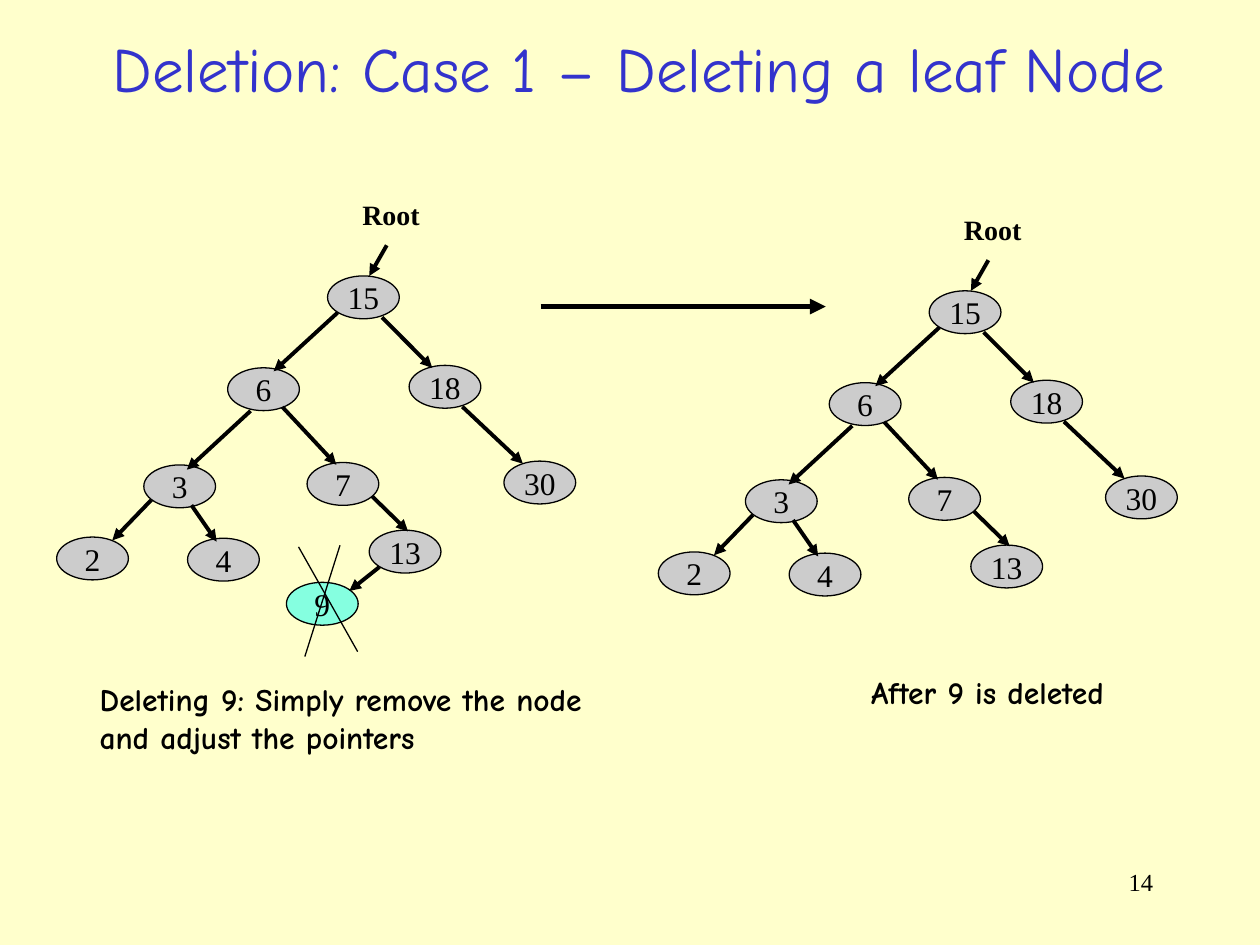
from typing import NamedTuple

import pptx
import pptx.dml.color
import pptx.enum.shapes
import pptx.enum.text
import pptx.oxml
import pptx.oxml.ns
import pptx.util

Pt = pptx.util.Pt
Align = pptx.enum.text.PP_ALIGN
Anchor = pptx.enum.text.MSO_ANCHOR

COMIC = "Comic Neue"
TIMES = "Times New Roman"
BLACK = "000000"
GREY = "CCCCCC"
AQUA = "85FFE0"
NODE_WIDTH, NODE_HEIGHT = 41, 24.5


class Node(NamedTuple):
    label: str
    left: float
    top: float
    fill: str = GREY


class Line(NamedTuple):
    x1: float
    y1: float
    x2: float
    y2: float
    width: float = 2.25
    arrow: bool = True


class Label(NamedTuple):
    text: str
    left: float
    top: float
    width: float
    height: float
    font: str
    size: float
    bold: bool = True
    align: Align = Align.LEFT
    wrap: bool = False


ROOT_LABEL = Label("Root", 200, 109.6, 50, 26.6, TIMES, 16)

TREE_NODES = [
    Node("15", 187.2, 157.7),
    Node("6", 130.1, 210.2),
    Node("18", 233.8, 208.8),
    Node("30", 288, 263.5),
    Node("3", 82.2, 265.7),
    Node("7", 175.5, 264.3),
    Node("2", 32.4, 306.9),
    Node("4", 107.2, 307.6),
    Node("13", 211, 303),
]

TREE_ARROWS = [
    Line(221, 140.2, 211, 157.7),
    Line(193, 178.6, 156.4, 212.2),
    Line(218.3, 181.4, 247, 210.2),
    Line(264.2, 232.4, 298.8, 265),
    Line(143.2, 234.8, 106.8, 268.4),
    Line(161.4, 232.6, 192.2, 265.6),
    Line(86.5, 285.7, 64.2, 308.8),
    Line(109.4, 288.7, 123.8, 309.5),
    Line(212.6, 283.6, 233.2, 303.7),
]

DELETED_NODE = Node("9", 163.7, 332.8, AQUA)

DELETION_LINES = [
    Line(216.8, 324, 199.6, 337.7),
    Line(170.6, 312.5, 204.4, 372.4, 0.75, False),
    Line(194.3, 311.6, 174.2, 375.2, 0.75, False),
]

TRANSITION = Line(309, 175.2, 471.8, 175.2, 3)

CAPTIONS = [
    Label("Deleting 9: Simply remove the node\nand adjust the pointers",
          49.9, 385.2, 297.4, 50.4, COMIC, 18),
    Label("After 9 is deleted", 490.7, 381.1, 148.3, 28.8, COMIC, 18),
    Label("14", 516.2, 491.8, 149.8, 36, TIMES, 14, False, Align.RIGHT, True),
]


def color(value: str) -> pptx.dml.color.RGBColor:
    return pptx.dml.color.RGBColor.from_string(value)


def format_text(frame, font: str, size: float, align: Align,
                bold: bool = False, text_color: str = BLACK) -> None:
    for paragraph in frame.paragraphs:
        paragraph.alignment = align
        for run in paragraph.runs:
            run.font.name = font
            run.font.size = Pt(size)
            run.font.bold = bold
            run.font.color.rgb = color(text_color)


def draw_label(shapes, label: Label, dx: float = 0, dy: float = 0) -> None:
    shape = shapes.add_textbox(Pt(label.left + dx), Pt(label.top + dy),
                               Pt(label.width), Pt(label.height))
    shape.text_frame.text = label.text
    shape.text_frame.word_wrap = label.wrap
    format_text(shape.text_frame, label.font, label.size, label.align, label.bold)


def draw_node(shapes, node: Node, dx: float = 0, dy: float = 0) -> None:
    shape = shapes.add_shape(pptx.enum.shapes.MSO_SHAPE.OVAL,
                             Pt(node.left + dx), Pt(node.top + dy),
                             Pt(NODE_WIDTH), Pt(NODE_HEIGHT))
    shape.shadow.inherit = False
    shape.fill.solid()
    shape.fill.fore_color.rgb = color(node.fill)
    shape.line.color.rgb = color(BLACK)
    shape.line.width = Pt(0.75)
    shape.text_frame.text = node.label
    shape.text_frame.word_wrap = False
    shape.text_frame.vertical_anchor = Anchor.MIDDLE
    format_text(shape.text_frame, TIMES, 18, Align.CENTER)


def draw_line(shapes, line: Line, dx: float = 0, dy: float = 0) -> None:
    connector = shapes.add_connector(pptx.enum.shapes.MSO_CONNECTOR.STRAIGHT,
                                     Pt(line.x1 + dx), Pt(line.y1 + dy),
                                     Pt(line.x2 + dx), Pt(line.y2 + dy))
    connector.line.color.rgb = color(BLACK)
    connector.line.width = Pt(line.width)
    if line.arrow:
        tail = pptx.oxml.parse_xml(
            f'<a:tailEnd {pptx.oxml.ns.nsdecls("a")} type="triangle"/>')
        connector.line._get_or_add_ln().append(tail)
    effects = pptx.oxml.parse_xml(f'<a:effectLst {pptx.oxml.ns.nsdecls("a")}/>')
    connector._element.spPr.append(effects)


def draw_tree(shapes, dx: float = 0, dy: float = 0) -> None:
    draw_label(shapes, ROOT_LABEL, dx, dy)
    for node in TREE_NODES:
        draw_node(shapes, node, dx, dy)
    for arrow in TREE_ARROWS:
        draw_line(shapes, arrow, dx, dy)


def draw_title(slide) -> None:
    title = slide.shapes.title
    title.left, title.top = Pt(21.6), Pt(11)
    title.width, title.height = Pt(686.9), Pt(54.7)
    frame = title.text_frame
    frame.text = "Deletion: Case 1 – Deleting a leaf Node"
    frame.auto_size = pptx.enum.text.MSO_AUTO_SIZE.NONE
    frame.vertical_anchor = Anchor.MIDDLE
    format_text(frame, COMIC, 36, Align.CENTER, text_color="3333CC")


def main() -> None:
    presentation = pptx.Presentation()
    presentation.slide_width, presentation.slide_height = Pt(720), Pt(540)
    slide = presentation.slides.add_slide(presentation.slide_layouts[5])
    slide.background.fill.solid()
    slide.background.fill.fore_color.rgb = color("FFFFCC")

    draw_title(slide)
    draw_tree(slide.shapes)
    draw_node(slide.shapes, DELETED_NODE)
    for line in DELETION_LINES:
        draw_line(slide.shapes, line)
    draw_tree(slide.shapes.add_group_shape().shapes, 343.8, 8.5)
    draw_line(slide.shapes, TRANSITION)
    for caption in CAPTIONS:
        draw_label(slide.shapes, caption)

    presentation.save("out.pptx")


if __name__ == "__main__":
    main()
